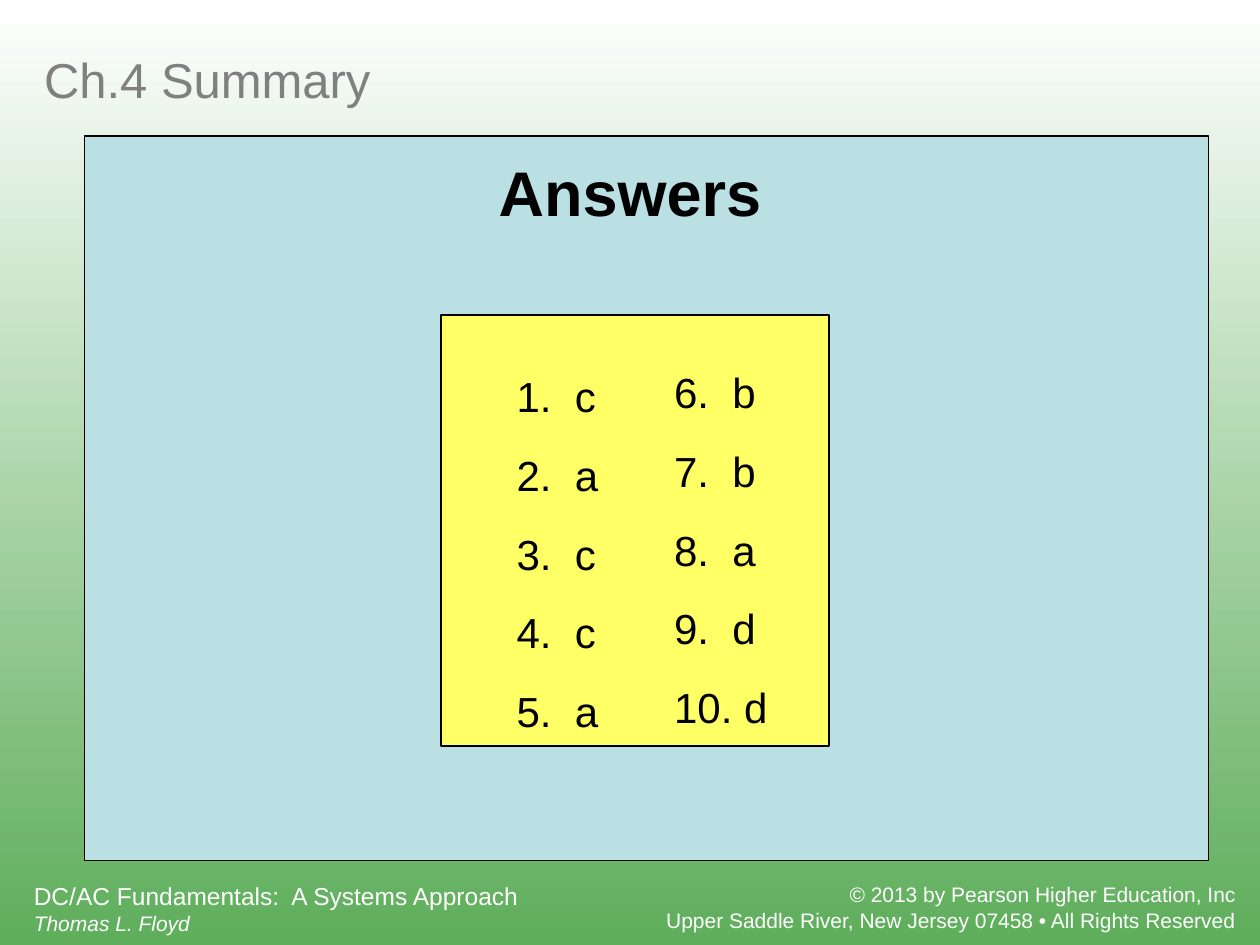
from lxml import etree
from pptx import Presentation
from pptx import util as u
from pptx.dml.color import RGBColor
from pptx.enum import shapes, text
from pptx.oxml.ns import qn

WIDTH, HEIGHT = 10, 7.5
FONT = "Arial"
LEFT, CENTER, RIGHT = text.PP_ALIGN.LEFT, text.PP_ALIGN.CENTER, text.PP_ALIGN.RIGHT


def color(hex_string):
    return RGBColor.from_string(hex_string)


def place(shape, left, top, width, height):
    shape.left, shape.top = u.Inches(left), u.Inches(top)
    shape.width, shape.height = u.Inches(width), u.Inches(height)


def paint_background(slide, top_color, bottom_color):
    fill = slide.background.fill
    fill.gradient()
    fill.gradient_angle = 270
    for stop, position, shade in zip(fill.gradient_stops, (0, 1), (top_color, bottom_color)):
        stop.position = position
        stop.color.rgb = color(shade)


def add_panel(slide, box, fill_color):
    panel = slide.shapes.add_shape(shapes.MSO_SHAPE.RECTANGLE, *map(u.Inches, box))
    panel.shadow.inherit = False
    panel.fill.solid()
    panel.fill.fore_color.rgb = color(fill_color)
    panel.line.color.rgb = color("000000")
    panel.line.width = u.Pt(0.75)


def write(shape, content, size, shade, align=LEFT, anchor=text.MSO_ANCHOR.TOP, bold=False):
    frame = shape.text_frame
    frame.text = content
    frame.word_wrap = True
    frame.auto_size = text.MSO_AUTO_SIZE.NONE
    frame.vertical_anchor = anchor
    for paragraph in frame.paragraphs:
        paragraph.alignment = align
        for run in paragraph.runs:
            run.font.name = FONT
            run.font.size = u.Pt(size)
            run.font.bold = bold
            run.font.color.rgb = color(shade)
    return frame


def add_label(slide, box, content, size, shade, **style):
    label = slide.shapes.add_textbox(*map(u.Inches, box))
    return write(label, content, size, shade, **style)


def fill_answers(slide, column, box, answers):
    """Write one answer column in a body placeholder, without bullets, above the panels."""
    place(column, *box)
    frame = write(column, "\n".join(answers), 24, "000000")
    for row, paragraph in enumerate(frame.paragraphs):
        paragraph.space_before = u.Pt(16.2 if row else 0)
        properties = paragraph._p.get_or_add_pPr()
        properties.set("marL", "0")
        properties.set("indent", "0")
        etree.SubElement(properties, qn("a:buNone"))
    slide.shapes._spTree.append(column._element)


def main():
    deck = Presentation()
    deck.slide_width, deck.slide_height = u.Inches(WIDTH), u.Inches(HEIGHT)
    slide = deck.slides.add_slide(deck.slide_layouts[3])
    paint_background(slide, "FFFFFF", "5EAE5B")

    title = slide.shapes.title
    place(title, 0.25, 0.25, WIDTH - 0.25, 0.75)
    write(title, "Ch.4 Summary", 28, "808080", anchor=text.MSO_ANCHOR.MIDDLE)

    book = add_label(slide, (0.17, 6.94, 4.83, 0.54),
                     "DC/AC Fundamentals:  A Systems Approach\nThomas L. Floyd", 14, "FFFFFF")
    author = book.paragraphs[1].runs[0].font
    author.size, author.italic = u.Pt(12), True
    add_label(slide, (5.05, 6.95, 4.86, 0.5),
              "© 2013 by Pearson Higher Education, Inc\v"
              "Upper Saddle River, New Jersey 07458 • All Rights Reserved",
              12, "FFFFFF", align=RIGHT)

    add_panel(slide, (0.67, 1.08, 8.92, 5.75), "BBE0E3")
    add_panel(slide, (3.5, 2.5, 3.08, 3.42), "FFFF66")
    add_label(slide, (0, 1.17, WIDTH, 0.7), "Answers", 36, "000000", align=CENTER, bold=True)

    first_column, second_column = slide.placeholders[1], slide.placeholders[2]
    fill_answers(slide, first_column, (4, 2.89, 1.25, 3),
                 ["1.  c", "2.  a", "3.  c", "4.  c", "5.  a"])
    fill_answers(slide, second_column, (5.25, 2.86, 1.33, 3),
                 ["6.  b", "7.  b", "8.  a", "9.  d", "10. d"])

    deck.save("out.pptx")


if __name__ == "__main__":
    main()
